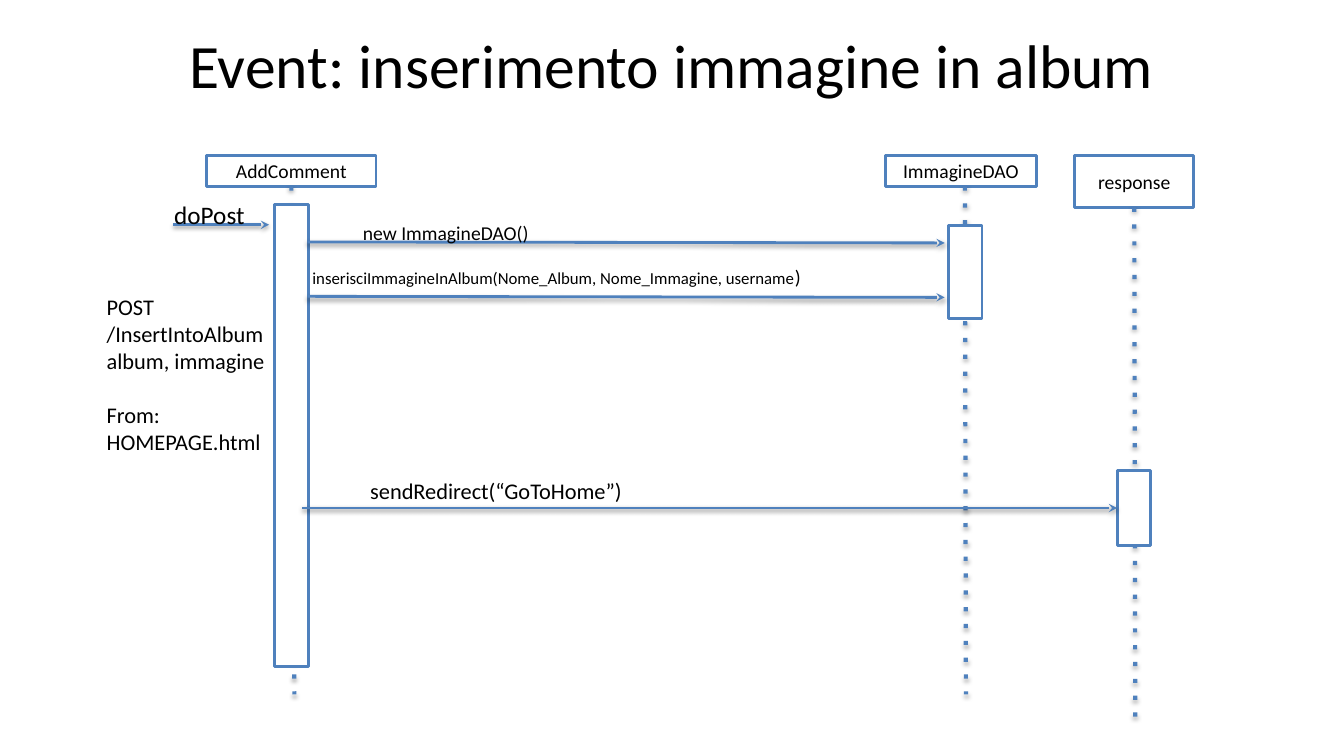
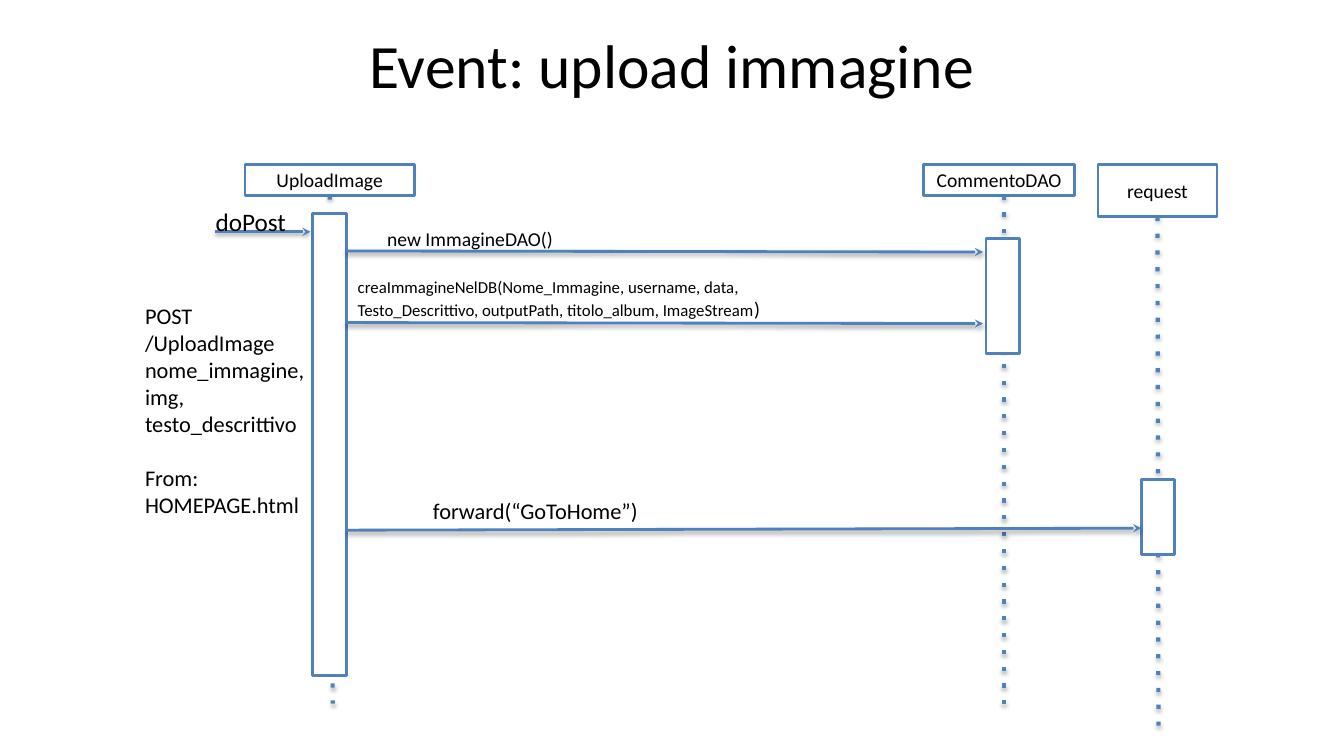
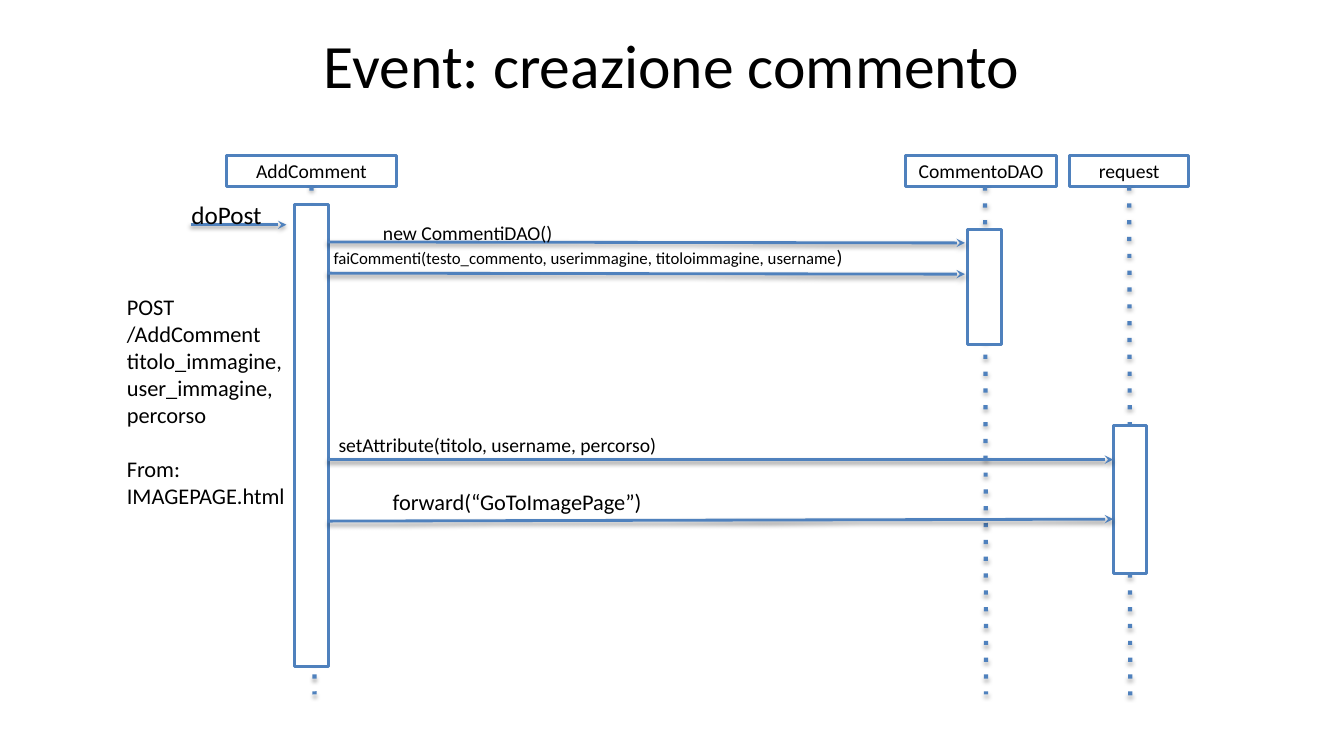
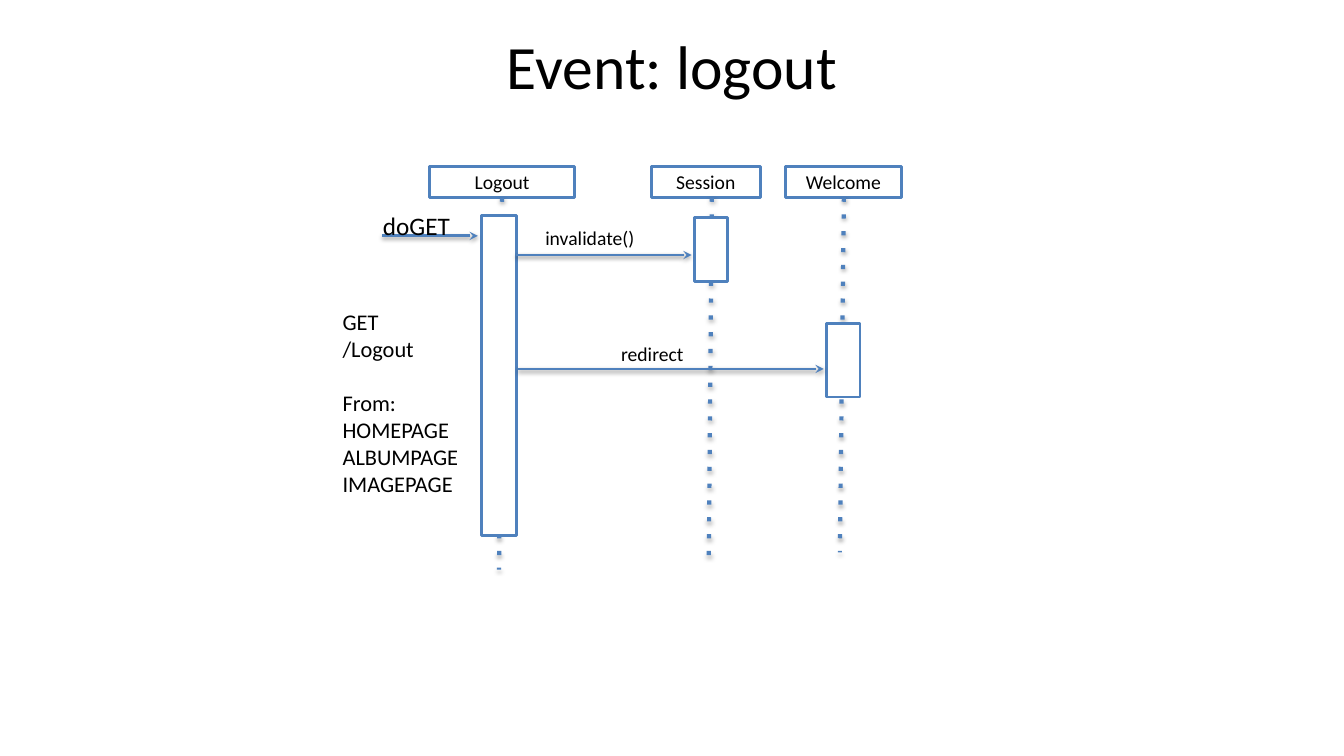
"""Build four sequence diagrams, one for each event of a photo album site."""
from dataclasses import dataclass
from typing import Any

from lxml.etree import SubElement as sub
from pptx import Presentation
from pptx.dml.color import RGBColor
from pptx.enum.shapes import MSO_CONNECTOR as Conn, MSO_SHAPE as Shape
from pptx.enum.text import MSO_ANCHOR as Anchor, PP_ALIGN as Align
from pptx.oxml.ns import qn
from pptx.util import Emu, Pt

SCALE = 9144
WIDE, HIGH = 1333, 750
BLACK = RGBColor(0x00, 0x00, 0x00)
WHITE = RGBColor(0xFF, 0xFF, 0xFF)
BLUE = RGBColor(0x4F, 0x81, 0xBD)
FONT = {"name": "Calibri", "bold": False}
FRAME = {"word_wrap": True, "vertical_anchor": Anchor.TOP}
MID = FRAME | {"vertical_anchor": Anchor.MIDDLE}
GAP = Pt(19.5)

Box = tuple[int, int, int, int]


@dataclass(frozen=True)
class Life:
    """A named head, its dotted stem and its active bar."""
    name: str
    left: int
    width: int
    stem: int
    end: int
    bar: Box
    high: int = 31
    drift: int = 1


@dataclass(frozen=True)
class Note:
    """A block of text; a tail is set larger than the rest."""
    text: str
    box: Box
    size: int = 14
    align: Align = Align.LEFT
    tail: str = ""


@dataclass(frozen=True)
class Call:
    """A message arrow with its label."""
    start: int
    end: int
    top: int
    note: Note
    drop: int = 0


@dataclass(frozen=True)
class Event:
    """One slide."""
    title: str
    top: int
    verb: str
    entry: tuple[int, int]
    source: Note
    lives: list[Life]
    calls: list[Call]
    head: Box = (0, 16, WIDE, 94)


def px(num: int) -> Emu:
    """Turn px into EMU."""
    return Emu(num * SCALE)


def put(obj: Any, form: dict[str, Any]) -> None:
    """Set each format value on an object."""
    for key, val in form.items():
        setattr(obj, key, val)


def write(frame: Any, note: Note, form: dict[str, Any]) -> None:
    """Fill a text frame, one paragraph for each line."""
    put(frame, form)
    lines = note.text.split("\n")
    for num, line in enumerate(lines):
        para = frame.paragraphs[0] if num == 0 else frame.add_paragraph()
        para.alignment = note.align
        if line.startswith("From:"):
            para.space_before = GAP
        parts = [(line, note.size)]
        if note.tail and num == len(lines) - 1:
            parts.append((note.tail, 14))
        for text, size in parts:
            run = para.add_run()
            run.text = text
            put(run.font, FONT | {"size": Pt(size)})
            run.font.color.rgb = BLACK


def label(slide: Any, note: Note) -> None:
    """Add a text box."""
    shape = slide.shapes.add_textbox(*map(px, note.box))
    write(shape.text_frame, note, FRAME)


def block(slide: Any, box: Box) -> Any:
    """Add a white box with a blue edge."""
    shape = slide.shapes.add_shape(Shape.RECTANGLE, *map(px, box))
    shape.shadow.inherit = False
    shape.fill.solid()
    shape.fill.fore_color.rgb = WHITE
    shape.line.color.rgb = BLUE
    shape.line.width = Pt(2)
    return shape


def stroke(slide: Any, ends: Box, width: int, tag: str, kind: dict[str, str],
           dark: int) -> None:
    """Add a line with a dash or an arrowhead and a soft shadow."""
    line = slide.shapes.add_connector(Conn.STRAIGHT, *map(px, ends))
    line.line.color.rgb = BLUE
    line.line.width = Pt(width)
    props = line.element.spPr
    sub(props.find(qn("a:ln")), qn(tag), kind)
    shade = sub(sub(props, qn("a:effectLst")), qn("a:outerShdw"), {
        "blurRad": "39370", "dist": "21590", "dir": "5400000", "rotWithShape": "0"})
    tint = sub(shade, qn("a:srgbClr"), val=str(BLACK))
    sub(tint, qn("a:alpha"), val=str(dark * 1000))


def arrow(slide: Any, ends: Box) -> None:
    """Add a message arrow."""
    stroke(slide, ends, 2, "a:tailEnd", {"type": "stealth"}, 38)


def draw(deck: Any, event: Event) -> None:
    """Draw one event."""
    slide = deck.slides.add_slide(deck.slide_layouts[5])
    title = slide.shapes.title
    put(title, dict(zip(("left", "top", "width", "height"), map(px, event.head))))
    write(title.text_frame, Note(event.title, event.head, 44, Align.CENTER), MID)
    for life in event.lives:
        box = (life.left, event.top, life.width, life.high)
        head = block(slide, box)
        write(head.text_frame, Note(life.name, box, 14, Align.CENTER), MID)
        ends = (life.stem, event.top + life.high, life.stem + life.drift, life.end)
        stroke(slide, ends, 3, "a:prstDash", {"val": "dot"}, 35)
        block(slide, life.bar)
    left, top = event.entry
    arrow(slide, (left + 9, top + 30, left + 104, top + 30))
    label(slide, Note(event.verb, (left, top, 100, 30), 18))
    label(slide, event.source)
    for call in event.calls:
        arrow(slide, (call.start, call.top, call.end, call.top + call.drop))
        label(slide, call.note)


EVENTS = [
    Event(
        "Event: inserimento immagine in album", 154, "doPost", (163, 193),
        Note("POST\n/InsertIntoAlbum\nalbum, immagine\nFrom:\nHOMEPAGE.html",
             (96, 286, 193, 249), 16),
        [Life("AddComment", 205, 168, 289, 689, (272, 203, 34, 458), drift=3),
         Life("ImmagineDAO", 878, 150, 957, 689, (941, 224, 33, 92)),
         Life("response", 1066, 118, 1125, 717, (1108, 467, 33, 74), 52)],
        [Call(305, 937, 240, Note("new ImmagineDAO()", (350, 214, 199, 22)), 1),
         Call(305, 937, 294, Note(
             "inserisciImmagineInAlbum(Nome_Album, Nome_Immagine, username",
             (300, 258, 657, 37), 12, tail=")"), 1),
         Call(300, 1108, 504, Note("sendRedirect(“GoToHome”)",
                                   (303, 468, 378, 36), 16, Align.CENTER))]),
    Event(
        "Event: upload immagine", 163, "doPost", (204, 200),
        Note("POST\n/UploadImage\nnome_immagine,\nimg, testo_descrittivo\n"
             "From:\nHOMEPAGE.html", (134, 295, 193, 249), 16),
        [Life("UploadImage", 243, 168, 327, 698, (310, 212, 34, 458), drift=3),
         Life("CommentoDAO", 916, 150, 996, 698, (978, 237, 33, 114), drift=0),
         Life("request", 1089, 118, 1148, 726, (1132, 476, 33, 74), 52)],
        [Call(343, 975, 249, Note("new ImmagineDAO()", (374, 220, 199, 22)), 1),
         Call(343, 975, 320, Note(
             "creaImmagineNelDB(Nome_Immagine, username, data,\n"
             "Testo_Descrittivo, outputPath, titolo_album, ImageStream",
             (345, 270, 587, 37), 12, tail=")"), 1),
         Call(343, 1132, 526, Note("forward(“GoToHome”)",
                                   (342, 488, 378, 36), 16, Align.CENTER), -2)]),
    Event(
        "Event: creazione commento", 154, "doPost", (180, 193),
        Note("POST\n/AddComment\ntitolo_immagine,\nuser_immagine, percorso\n"
             "From:\nIMAGEPAGE.html", (116, 286, 193, 249), 16),
        [Life("AddComment", 225, 168, 309, 689, (292, 203, 34, 458), drift=3),
         Life("CommentoDAO", 898, 150, 977, 689, (960, 228, 33, 114)),
         Life("request", 1061, 118, 1120, 697, (1104, 422, 33, 147))],
        [Call(325, 957, 240, Note("new CommentiDAO()", (370, 214, 199, 22)), 1),
         Call(325, 957, 271, Note(
             "faiCommenti(testo_commento, userimmagine, titoloimmagine, username",
             (321, 238, 600, 37), 12, tail=")"), 1),
         Call(325, 1104, 456, Note("setAttribute(titolo, username, percorso)",
                                   (326, 425, 770, 28))),
         Call(325, 1104, 517, Note("forward(“GoToImagePage”)",
                                   (324, 479, 378, 36), 16, Align.CENTER), -2)]),
    Event(
        "Event: logout", 165, "doGET", (370, 204),
        Note("GET\n/Logout\nFrom: HOMEPAGE\nALBUMPAGE\nIMAGEPAGE",
             (330, 301, 144, 231), 16),
        [Life("Logout", 426, 144, 498, 565, (478, 214, 34, 317), drift=-3),
         Life("Session", 646, 108, 706, 553, (689, 216, 33, 63), drift=-3),
         Life("Welcome", 779, 115, 837, 548, (820, 321, 33, 73), drift=-4)],
        [Call(512, 686, 253, Note("invalidate()", (531, 219, 176, 25))),
         Call(514, 817, 366, Note("redirect", (531, 334, 232, 28),
                                  align=Align.CENTER))],
        (0, 23, WIDE, 83)),
]


def main() -> None:
    """Build and save the deck."""
    deck = Presentation()
    put(deck, {"slide_width": px(WIDE), "slide_height": px(HIGH)})
    for event in EVENTS:
        draw(deck, event)
    deck.save("out.pptx")


if __name__ == "__main__":
    main()
